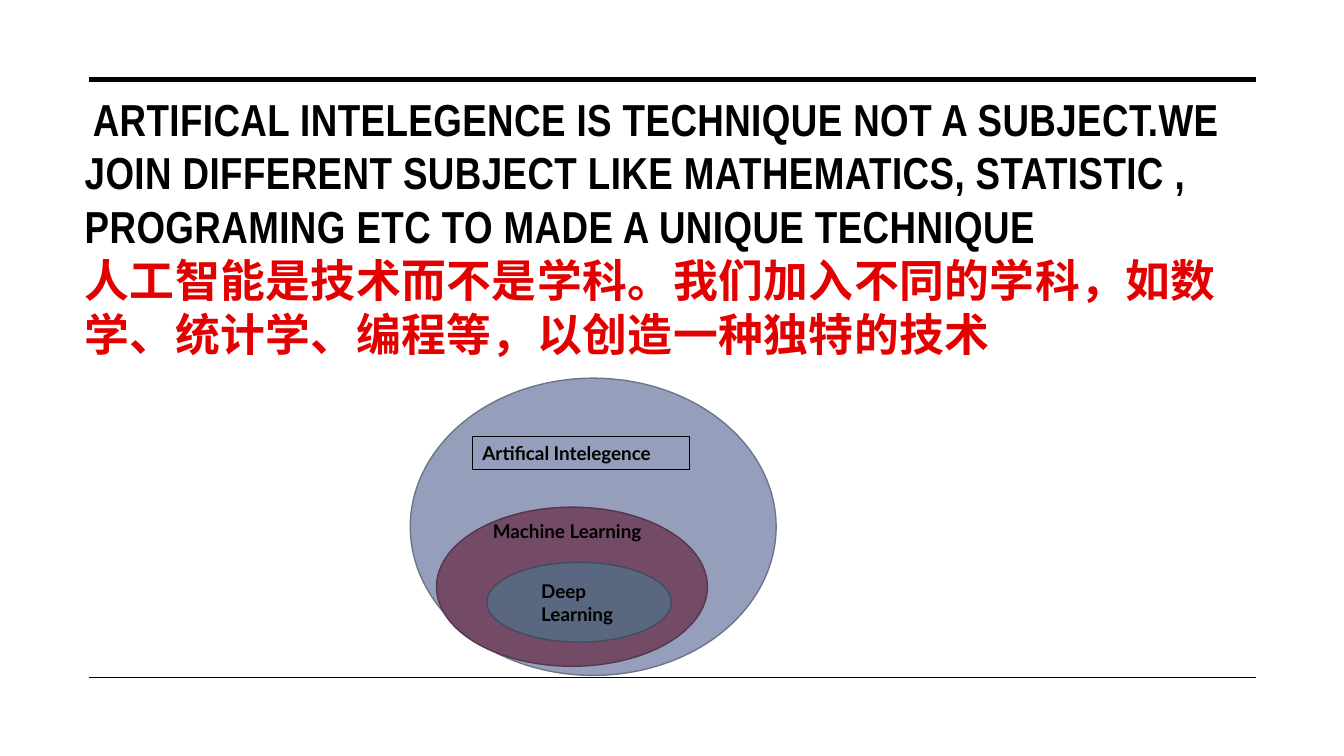
"""Build the slide on artificial intelligence as a technique."""
from dataclasses import dataclass

from lxml.etree import SubElement
from pptx import Presentation
from pptx.dml.color import RGBColor
from pptx.enum.shapes import MSO_CONNECTOR, MSO_SHAPE
from pptx.enum.text import MSO_ANCHOR, MSO_AUTO_SIZE, PP_ALIGN
from pptx.oxml.ns import qn
from pptx.util import Cm, Pt


@dataclass(frozen=True)
class Theme:
    black: str = "000000"
    red: str = "E30000"
    head: str = "Arial Narrow"
    body: str = "Lato"
    lead: float = 24
    title: float = 32
    pitch: float = 38.5
    track: int = 30
    label: float = 13.5


@dataclass(frozen=True)
class Box:
    left: float
    top: float
    width: float
    height: float

    def place(self) -> tuple:
        return Cm(self.left), Cm(self.top), Cm(self.width), Cm(self.height)


@dataclass(frozen=True)
class Rule:
    top: float
    weight: float


@dataclass(frozen=True)
class Oval:
    box: Box
    fill: str
    edge: str


@dataclass(frozen=True)
class Label:
    text: str
    box: Box
    border: float = 0


THEME = Theme()
LEFT, RIGHT = 2.24, 31.65
RULES = [Rule(2.01, 3.5), Rule(17.07, 1)]
TITLE = Box(1.88, 2.16, 29.34, 7.06)
ENGLISH = ("ARTIFICAL INTELEGENCE IS TECHNIQUE NOT A SUBJECT.WE JOIN DIFFERENT "
           "SUBJECT LIKE MATHEMATICS, STATISTIC , PROGRAMING ETC TO MADE A UNIQUE TECHNIQUE")
CHINESE = "人工智能是技术而不是学科。我们加入不同的学科，如数学、统计学、编程等，以创造一种独特的技术"
OVALS = [
    Oval(Box(10.34, 9.53, 9.22, 7.49), "959EBB", "6E758A"),
    Oval(Box(11, 12.78, 6.83, 4.01), "734B67", "55374C"),
    Oval(Box(12.27, 14.17, 4.65, 2.01), "596781", "424C5F"),
]
LABELS = [
    Label("Artifical Intelegence", Box(11.91, 11, 5.46, 0.84), 0.75),
    Label("Machine Learning", Box(12.17, 12.98, 5, 0.84)),
    Label("Deep Learning", Box(13.39, 14.48, 2.69, 1.4)),
]


def write(para, text: str, *, size: float, face: str, color: str = THEME.black,
          bold: bool = True, track: int = 0) -> None:
    run = para.add_run()
    run.text = text
    font = run.font
    font.size, font.name, font.bold = Pt(size), face, bold
    font.color.rgb = RGBColor.from_string(color)
    if track:
        run._r.get_or_add_rPr().set("spc", str(track))


def stroke(line, color: str, weight: float) -> None:
    line.color.rgb = RGBColor.from_string(color)
    line.width = Pt(weight)


def draw_rule(slide, rule: Rule) -> None:
    line = slide.shapes.add_connector(
        MSO_CONNECTOR.STRAIGHT, Cm(LEFT), Cm(rule.top), Cm(RIGHT), Cm(rule.top))
    stroke(line.line, THEME.black, rule.weight)
    SubElement(line._element.spPr, qn("a:effectLst"))


def draw_title(slide) -> None:
    title = slide.shapes.title
    title.left, title.top, title.width, title.height = TITLE.place()
    frame = title.text_frame
    frame.word_wrap = True
    frame.auto_size = MSO_AUTO_SIZE.NONE
    frame.vertical_anchor = MSO_ANCHOR.MIDDLE
    para = frame.paragraphs[0]
    para.alignment = PP_ALIGN.LEFT
    para.line_spacing = Pt(THEME.pitch)
    style = {"face": THEME.head, "track": THEME.track}
    write(para, " ", size=THEME.lead, bold=False, **style)
    write(para, ENGLISH, size=THEME.title, **style)
    para.add_line_break()
    write(para, CHINESE, size=THEME.title, color=THEME.red, **style)


def draw_oval(slide, oval: Oval) -> None:
    shape = slide.shapes.add_shape(MSO_SHAPE.OVAL, *oval.box.place())
    shape.shadow.inherit = False
    shape.fill.solid()
    shape.fill.fore_color.rgb = RGBColor.from_string(oval.fill)
    stroke(shape.line, oval.edge, 1)


def draw_label(slide, label: Label) -> None:
    shape = slide.shapes.add_textbox(*label.box.place())
    shape.text_frame.word_wrap = True
    if label.border:
        stroke(shape.line, THEME.black, label.border)
    write(shape.text_frame.paragraphs[0], label.text, size=THEME.label, face=THEME.body)


def main() -> None:
    deck = Presentation()
    deck.slide_width, deck.slide_height = Cm(33.87), Cm(19.05)
    slide = deck.slides.add_slide(deck.slide_layouts.get_by_name("Title Only"))
    for rule in RULES:
        draw_rule(slide, rule)
    draw_title(slide)
    for oval in OVALS:
        draw_oval(slide, oval)
    for label in LABELS:
        draw_label(slide, label)
    deck.save("out.pptx")


if __name__ == "__main__":
    main()
